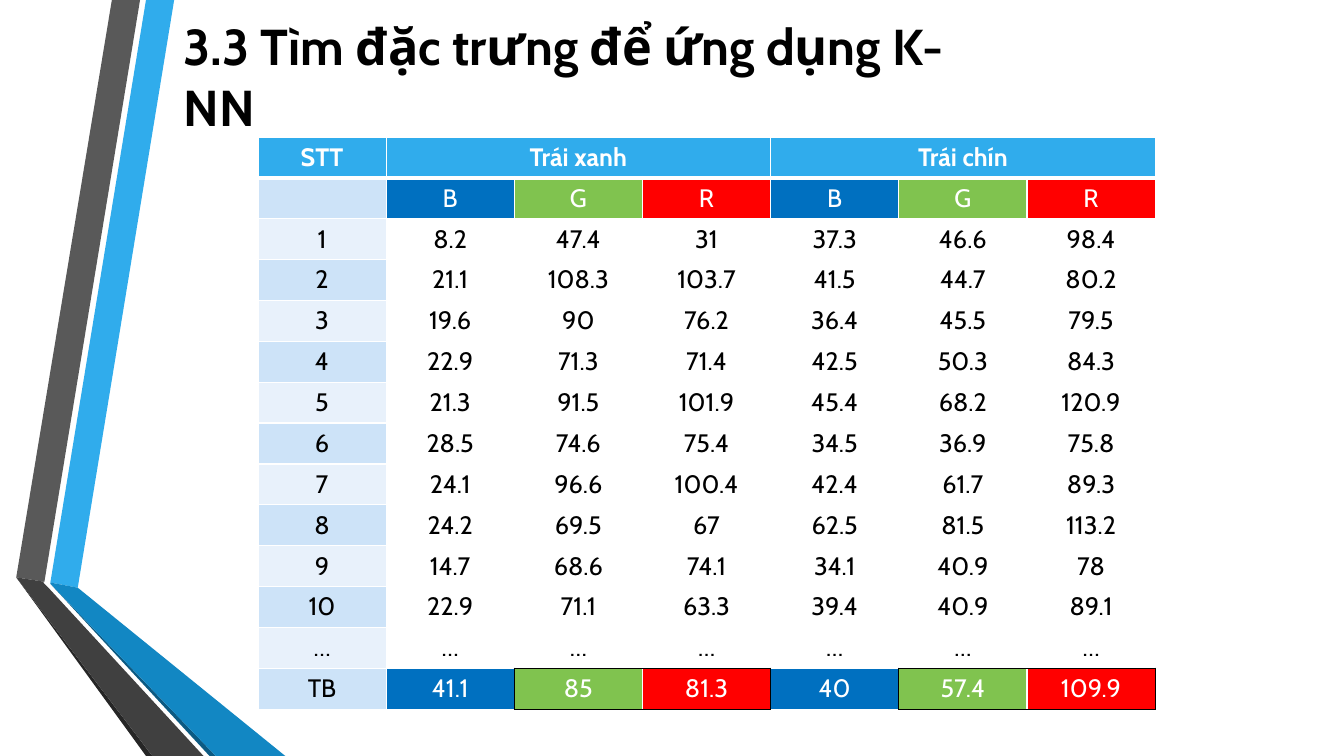
from lxml.etree import SubElement
from pptx import Presentation
from pptx.dml.color import RGBColor
from pptx.enum.text import MSO_ANCHOR, PP_ALIGN
from pptx.oxml.ns import qn
from pptx.util import Cm, Pt

COLORS = {
    "white": "FFFFFF", "black": "000000", "sky": "30ACEC", "ocean": "1287C3",
    "navy": "0C5A82", "gray": "595959", "charcoal": "404040", "soot": "262626",
    "blue": "0070C0", "green": "80C34F", "red": "FF0000",
    "band_dark": "CDE3F8", "band_light": "E8F1FB",
}

RIBBONS = [
    ("sky", [(1.27, 14.68), (1.96, 14.81), (4.39, 0), (3.68, 0)]),
    ("gray", [(3.53, 0), (2.82, 0), (0.41, 14.55), (1.12, 14.66)]),
    ("soot", [(0.41, 14.55), (3.68, 19.05), (3.84, 19.05)]),
    ("navy", [(1.27, 14.71), (5.28, 19.05), (5.44, 19.05)]),
    ("ocean", [(1.27, 14.68), (1.27, 14.71), (5.44, 19.05), (7.19, 19.05), (1.96, 14.81)]),
    ("charcoal", [(5.13, 19.05), (1.22, 14.81), (1.09, 14.68), (1.12, 14.66),
                  (0.41, 14.55), (3.84, 19.05)]),
]

ROWS = [
    ["STT", "Trái xanh", "", "", "Trái chín", "", ""],
    ["", "B", "G", "R", "B", "G", "R"],
    ["1", "8.2", "47.4", "31", "37.3", "46.6", "98.4"],
    ["2", "21.1", "108.3", "103.7", "41.5", "44.7", "80.2"],
    ["3", "19.6", "90", "76.2", "36.4", "45.5", "79.5"],
    ["4", "22.9", "71.3", "71.4", "42.5", "50.3", "84.3"],
    ["5", "21.3", "91.5", "101.9", "45.4", "68.2", "120.9"],
    ["6", "28.5", "74.6", "75.4", "34.5", "36.9", "75.8"],
    ["7", "24.1", "96.6", "100.4", "42.4", "61.7", "89.3"],
    ["8", "24.2", "69.5", "67", "62.5", "81.5", "113.2"],
    ["9", "14.7", "68.6", "74.1", "34.1", "40.9", "78"],
    ["10", "22.9", "71.1", "63.3", "39.4", "40.9", "89.1"],
    ["…"] * 7,
    ["TB", "41.1", "85", "81.3", "40", "57.4", "109.9"],
]
LAST_ROW = len(ROWS) - 1
CHANNELS = ["blue", "green", "red"]
FRAMED_COLUMNS = (2, 3, 5, 6)
FRAME_SIDES = (2, 4, 5, 7)


def cell_fill(row, column):
    """Return the colour name of a cell, or None for a clear cell."""
    if row == 0:
        return "sky"
    if column == 0:
        return "band_dark" if row % 2 else "band_light"
    if row in (1, LAST_ROW):
        return CHANNELS[(column - 1) % 3]
    return None


def cell_borders(row, column):
    """Return tag, colour name and width in points for the four cell edges."""
    borders = []
    for tag, edge in (("a:lnL", column), ("a:lnR", column + 1)):
        framed = row == LAST_ROW and edge in FRAME_SIDES
        borders.append((tag, "black" if framed else "white", 1))
    for tag, edge in (("a:lnT", row), ("a:lnB", row + 1)):
        framed = edge >= LAST_ROW and column in FRAMED_COLUMNS
        borders.append((tag, "black" if framed else "white", 3 if edge == 1 else 1))
    return borders


class SlideBuilder:
    """Holds the text style and the current slide."""

    def __init__(self, slide, font="Cabin"):
        """Remember the slide and its font."""
        self.slide = slide
        self.font = font

    def color(self, name):
        """Return a named colour."""
        return RGBColor.from_string(COLORS[name])

    def text(self, paragraph, words, size, color, bold=False):
        """Add one formatted run to a paragraph."""
        run = paragraph.add_run()
        run.text = words
        run.font.name = self.font
        run.font.size = Pt(size)
        run.font.bold = bold
        run.font.color.rgb = self.color(color)

    def title(self, words, left, top, width, height):
        """Place and fill the title placeholder."""
        shape = self.slide.shapes.title
        shape.left, shape.top = Cm(left), Cm(top)
        shape.width, shape.height = Cm(width), Cm(height)
        frame = shape.text_frame
        frame.word_wrap = True
        frame.vertical_anchor = MSO_ANCHOR.MIDDLE
        paragraph = frame.paragraphs[0]
        paragraph.alignment = PP_ALIGN.LEFT
        paragraph.line_spacing = 1.0
        self.text(paragraph, words, 36, "black", True)

    def ribbon(self, color, points):
        """Draw a closed filled outline from points in centimetres."""
        corners = [(Cm(x), Cm(y)) for x, y in points]
        builder = self.slide.shapes.build_freeform(*corners[0])
        builder.add_line_segments(corners[1:], close=True)
        shape = builder.convert_to_shape()
        shape.shadow.inherit = False
        shape.fill.solid()
        shape.fill.fore_color.rgb = self.color(color)
        shape.line.fill.background()

    def border(self, cell, tag, color, width):
        """Add one edge line to a cell."""
        properties = cell._tc.get_or_add_tcPr()
        line = SubElement(properties, qn(tag), w=str(Pt(width)))
        fill = SubElement(line, qn("a:solidFill"))
        SubElement(fill, qn("a:srgbClr"), val=COLORS[color])

    def cell(self, cell, row, column):
        """Format and fill one table cell."""
        for tag, color, width in cell_borders(row, column):
            self.border(cell, tag, color, width)
        fill = cell_fill(row, column)
        if fill:
            cell.fill.solid()
            cell.fill.fore_color.rgb = self.color(fill)
        else:
            cell.fill.background()
        paragraph = cell.text_frame.paragraphs[0]
        paragraph.alignment = PP_ALIGN.CENTER
        if ROWS[row][column]:
            on_color = fill and not fill.startswith("band")
            self.text(paragraph, ROWS[row][column], 18,
                      "white" if on_color else "black", row == 0)

    def table(self, left, top, column_width, row_height):
        """Add the table of colour values."""
        column_count = len(ROWS[0])
        table = self.slide.shapes.add_table(
            len(ROWS), column_count, Cm(left), Cm(top),
            Cm(column_width * column_count), Cm(row_height * len(ROWS))).table
        for column in table.columns:
            column.width = Cm(column_width)
        for row in table.rows:
            row.height = Cm(row_height)
        for first in (1, 4):
            table.cell(0, first).merge(table.cell(0, first + 2))
        for row, values in enumerate(ROWS):
            for column in range(len(values)):
                self.cell(table.cell(row, column), row, column)


def main():
    """Build and save the presentation."""
    presentation = Presentation()
    presentation.slide_width, presentation.slide_height = Cm(33.87), Cm(19.05)
    slide = presentation.slides.add_slide(presentation.slide_layouts[5])
    builder = SlideBuilder(slide)
    for color, points in RIBBONS:
        builder.ribbon(color, points)
    builder.title("3.3 Tìm đặc trưng để ứng dụng K-NN", 4.37, 0.36, 21.2, 3.1)
    builder.table(6.5, 3.45, 3.23, 1.03)
    presentation.save("out.pptx")


if __name__ == "__main__":
    main()
